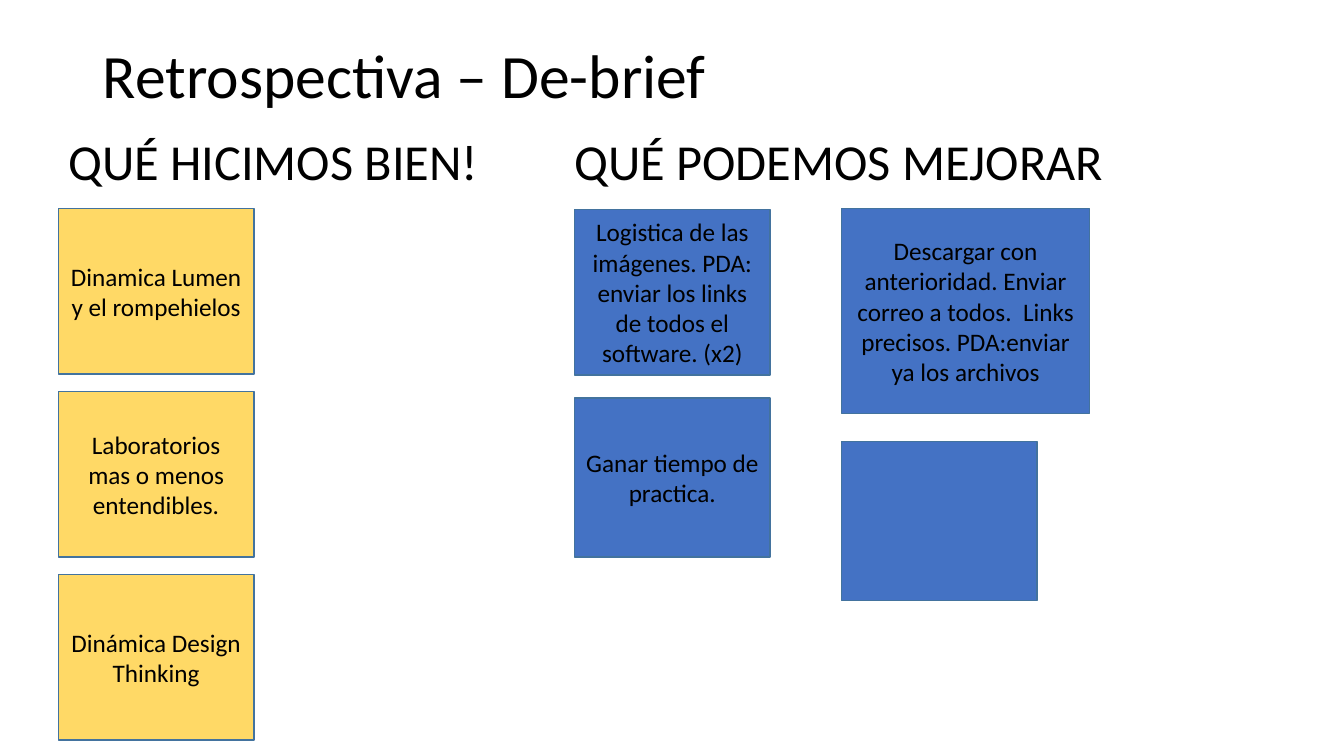
from pptx import Presentation
from pptx.dml.color import RGBColor
from pptx.enum.shapes import MSO_SHAPE
from pptx.enum.text import MSO_ANCHOR, MSO_AUTO_SIZE, PP_ALIGN
from pptx.util import Cm, Pt

RECTANGLE = MSO_SHAPE.RECTANGLE
TOP, MIDDLE = MSO_ANCHOR.TOP, MSO_ANCHOR.MIDDLE
LEFT, CENTER = PP_ALIGN.LEFT, PP_ALIGN.CENTER
NO_FIT, GROW = MSO_AUTO_SIZE.NONE, MSO_AUTO_SIZE.SHAPE_TO_FIT_TEXT

COLORS = {"text": "000000", "good": "FFD966", "improve": "4472C4", "border": "43739E"}
FONT = "Calibri"

NOTE_WIDTH = 4.93
GOOD_LEFT, GOOD_TOP, GOOD_HEIGHT, GOOD_PITCH = 1.47, 5.26, 4.17, 4.61
LOGISTICS_LEFT, DOWNLOAD_LEFT = 14.48, 21.21
HEADING_TOP, HEADING_HEIGHT = 3.15, 1.8

GOOD_NOTES = [
    "Dinamica Lumen y el rompehielos",
    "Laboratorios mas o menos entendibles.",
    "Dinámica Design Thinking",
]
IMPROVE_NOTES = [
    ("Logistica de las imágenes. PDA: enviar los links de todos el software. (x2)",
     (LOGISTICS_LEFT, 5.28, NOTE_WIDTH, GOOD_HEIGHT)),
    ("Descargar con anterioridad. Enviar correo a todos.  Links precisos. "
     "PDA:enviar ya los archivos",
     (DOWNLOAD_LEFT, 5.26, 6.25, 5.16)),
    ("Ganar tiempo de practica.", (LOGISTICS_LEFT, 10.03, NOTE_WIDTH, 4.01)),
    ("", (DOWNLOAD_LEFT, 11.13, NOTE_WIDTH, 4.01)),
]


def apply(target, values):
    for name, value in values.items():
        setattr(target, name, value)


def color(name):
    return RGBColor.from_string(COLORS[name])


def write(frame, text, size, frame_format, paragraph_format):
    apply(frame, frame_format)
    paragraph = frame.paragraphs[0]
    apply(paragraph, paragraph_format)
    if text:
        run = paragraph.add_run()
        run.text = text
        apply(run.font, {"name": FONT, "size": Pt(size)})
        run.font.color.rgb = color("text")


def add_title(slide, text):
    title = slide.shapes.title
    apply(title, {"left": Cm(2.34), "top": Cm(1.02),
                  "width": Cm(29.21), "height": Cm(3.68)})
    write(title.text_frame, text, 44,
          {"vertical_anchor": TOP, "auto_size": NO_FIT, "word_wrap": True},
          {"alignment": LEFT, "line_spacing": 0.9})


def add_heading(slide, text, left, width):
    heading = slide.shapes.add_textbox(
        Cm(left), Cm(HEADING_TOP), Cm(width), Cm(HEADING_HEIGHT))
    write(heading.text_frame, text, 36,
          {"word_wrap": False, "auto_size": GROW}, {"alignment": LEFT})


def add_note(slide, text, box, fill):
    note = slide.shapes.add_shape(RECTANGLE, *map(Cm, box))
    note.shadow.inherit = False
    note.fill.solid()
    note.fill.fore_color.rgb = color(fill)
    note.line.color.rgb = color("border")
    note.line.width = Pt(1)
    write(note.text_frame, text, 18,
          {"word_wrap": True, "vertical_anchor": MIDDLE}, {"alignment": CENTER})


def main():
    deck = Presentation()
    apply(deck, {"slide_width": Cm(33.87), "slide_height": Cm(19.05)})
    slide = deck.slides.add_slide(deck.slide_layouts.get_by_name("Title Only"))
    add_title(slide, "Retrospectiva – De-brief")
    add_heading(slide, "QUÉ HICIMOS BIEN!", GOOD_LEFT, 10.97)
    add_heading(slide, "QUÉ PODEMOS MEJORAR", 14.22, 14.0)
    for row, text in enumerate(GOOD_NOTES):
        top = GOOD_TOP + row * GOOD_PITCH
        add_note(slide, text, (GOOD_LEFT, top, NOTE_WIDTH, GOOD_HEIGHT), "good")
    for text, box in IMPROVE_NOTES:
        add_note(slide, text, box, "improve")
    deck.save("out.pptx")


if __name__ == "__main__":
    main()
